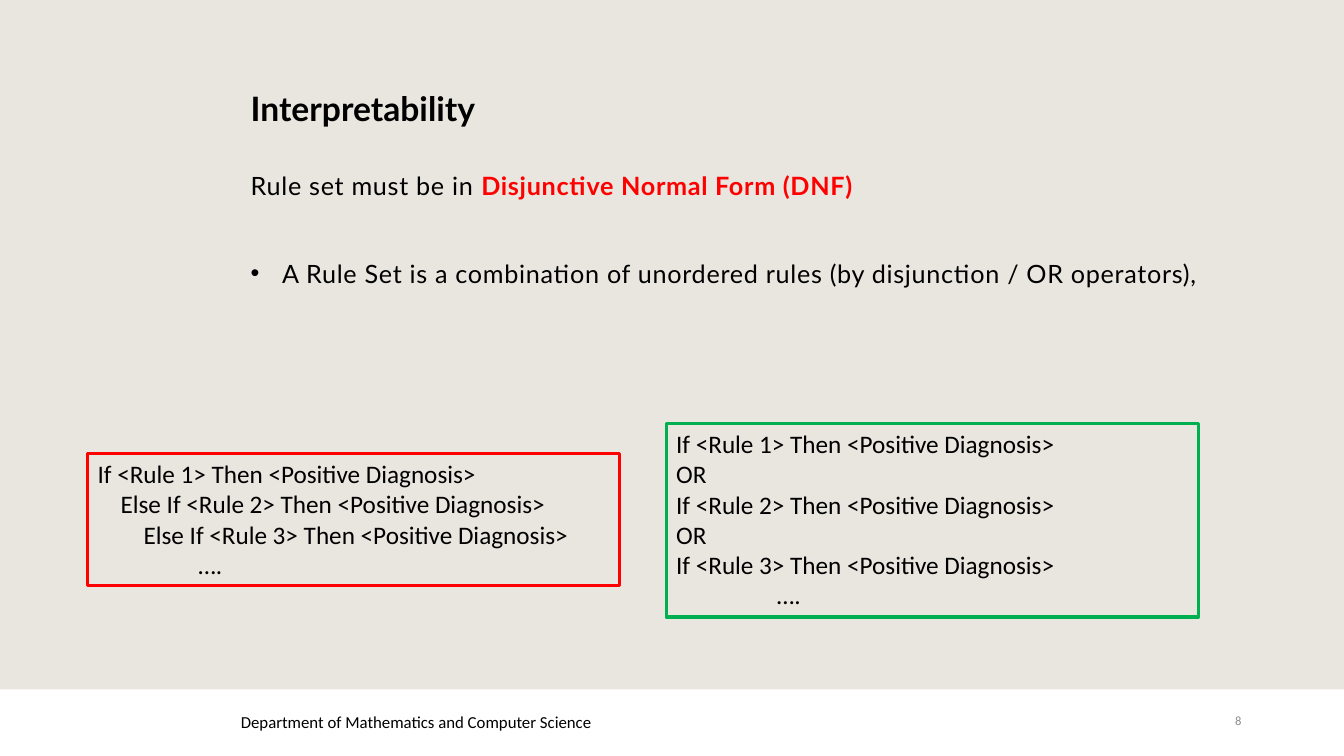
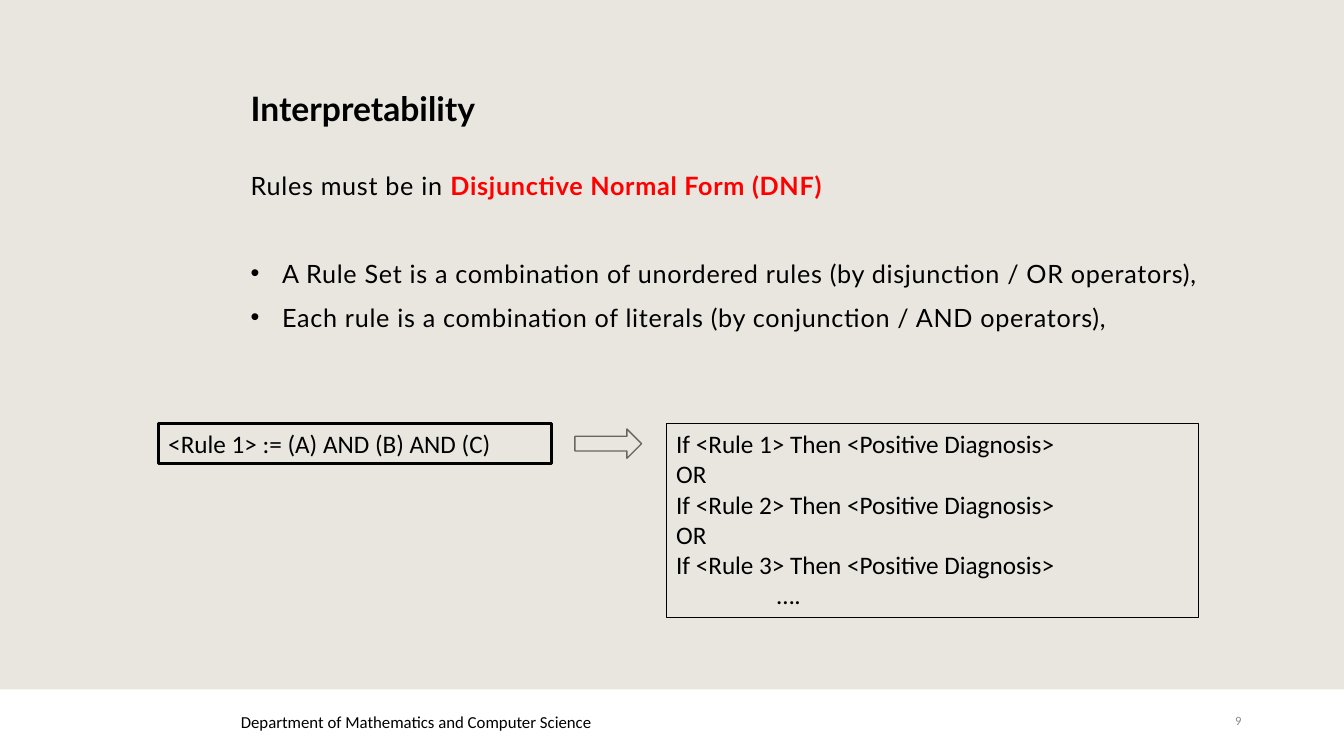
import pptx
import pptx.util
import pptx.dml.color
import pptx.enum.shapes
import pptx.enum.text
import pptx.oxml
import pptx.oxml.ns

Cm = pptx.util.Cm
Pt = pptx.util.Pt
RGBColor = pptx.dml.color.RGBColor

SAND = RGBColor(0xE9, 0xE6, 0xDF)
WHITE = RGBColor(0xFF, 0xFF, 0xFF)
BLACK = RGBColor(0x00, 0x00, 0x00)
RED = RGBColor(0xFF, 0x00, 0x00)
GREEN = RGBColor(0x00, 0xB0, 0x50)
GRAY = RGBColor(0x8C, 0x8C, 0x8C)
ARROW_GRAY = RGBColor(0x66, 0x65, 0x62)

HEADING_FONT = "Lato"
TEXT_FONT = "Calibri"
PAGE_WIDTH = Cm(33.87)
PAGE_HEIGHT = Cm(19.05)
BAND_TOP = Cm(17.37)
CONTENT_LEFT = Cm(6.07)
RULES_TOP = Cm(10.67)
BULLET_INDENT = Cm(0.79)
STEP_INDENT = Cm(0.58)
DOTS_INDENT = Cm(2.54)

DNF = "Disjunctive Normal Form (DNF)"
RULE_SET_POINT = "A Rule Set is a combination of unordered rules (by disjunction / OR operators),"
LITERALS_POINT = "Each rule is a combination of literals (by conjunction / AND operators),"
ORDERED_RULES = [
    ("If <Rule 1> Then <Positive Diagnosis>", 0),
    ("Else If <Rule 2> Then <Positive Diagnosis>", STEP_INDENT),
    ("Else If <Rule 3> Then <Positive Diagnosis>", 2 * STEP_INDENT),
    ("….", DOTS_INDENT),
]
UNORDERED_RULES = [
    ("If <Rule 1> Then <Positive Diagnosis>", 0),
    ("OR", 0),
    ("If <Rule 2> Then <Positive Diagnosis>", 0),
    ("OR", 0),
    ("If <Rule 3> Then <Positive Diagnosis>", 0),
    ("….", DOTS_INDENT),
]


def style_span(span, font, size, color=BLACK, bold=False):
    span.font.name = font
    span.font.size = Pt(size)
    span.font.color.rgb = color
    span.font.bold = bold


def set_indent(para, left, first_line=0):
    properties = para._p.get_or_add_pPr()
    properties.set("marL", str(int(left)))
    properties.set("indent", str(int(first_line)))
    return properties


def add_text(page, left, top, width, height):
    box = page.shapes.add_textbox(left, top, width, height)
    box.text_frame.word_wrap = True
    return box


def add_label(page, text, left, top, width, height, font, size, color=BLACK, bold=False):
    box = add_text(page, left, top, width, height)
    box.text_frame.text = text
    style_span(box.text_frame.paragraphs[0].runs[0], font, size, color, bold)
    return box


def add_footer(page, number):
    band = page.shapes.add_shape(
        pptx.enum.shapes.MSO_SHAPE.RECTANGLE, 0, BAND_TOP, PAGE_WIDTH, PAGE_HEIGHT - BAND_TOP)
    band.shadow.inherit = False
    band.fill.solid()
    band.fill.fore_color.rgb = WHITE
    band.line.fill.background()
    add_label(page, "Department of Mathematics and Computer Science",
              Cm(5.82), Cm(17.81), Cm(15.52), Cm(0.77), TEXT_FONT, 12)
    box = add_label(page, str(number), Cm(28.8), Cm(17.65), Cm(2.74), Cm(1.02),
                    TEXT_FONT, 9, GRAY)
    box.text_frame.vertical_anchor = pptx.enum.text.MSO_ANCHOR.MIDDLE
    box.text_frame.paragraphs[0].alignment = pptx.enum.text.PP_ALIGN.RIGHT


def add_body(page, lead, points):
    box = add_text(page, CONTENT_LEFT, Cm(4.29), Cm(25.5), Cm(5.56))
    frame = box.text_frame
    frame.margin_top = 0
    frame.text = lead
    frame.paragraphs[0].add_run().text = DNF
    for index, point in enumerate(points):
        para = frame.add_paragraph()
        para.text = point
        para.space_before = Pt(10 if index else 41)
        properties = set_indent(para, BULLET_INDENT, -BULLET_INDENT)
        for tag, name, value in (("a:buFont", "typeface", "Arial"), ("a:buChar", "char", "•")):
            bullet = pptx.oxml.ns.qn(tag)
            properties.append(properties.makeelement(bullet, {name: value}))
    for para in frame.paragraphs:
        for span in para.runs:
            emphasis = span.text == DNF
            style_span(span, HEADING_FONT, 18, RED if emphasis else BLACK, emphasis)
            span.font._element.set("spc", "50")


def add_rule_box(page, rules, left, top, width, height, color, weight):
    box = add_text(page, left, top, width, height)
    box.line.color.rgb = color
    box.line.width = Pt(weight)
    frame = box.text_frame
    frame.text = "\n".join(text for text, indent in rules)
    for para, (text, indent) in zip(frame.paragraphs, rules):
        set_indent(para, indent)
        style_span(para.runs[0], TEXT_FONT, 18)


def add_unordered_rules(page, color, weight):
    add_rule_box(page, UNORDERED_RULES, Cm(16.79), RULES_TOP, Cm(13.41), Cm(4.88), color, weight)


def add_arrow(page):
    arrow = page.shapes.add_shape(
        pptx.enum.shapes.MSO_SHAPE.RIGHT_ARROW, Cm(14.49), Cm(10.81), Cm(1.68), Cm(0.74))
    arrow.shadow.inherit = False
    arrow.fill.solid()
    arrow.fill.fore_color.rgb = SAND
    arrow.line.color.rgb = ARROW_GRAY
    arrow.line.width = Pt(1)


def add_page(deck, number, lead, points):
    page = deck.slides.add_slide(deck.slide_layouts[6])
    add_footer(page, number)
    add_label(page, "Interpretability", CONTENT_LEFT, Cm(2.08), Cm(18.82), Cm(1.27),
              HEADING_FONT, 24, bold=True)
    add_body(page, lead, points)
    return page


def main():
    deck = pptx.Presentation()
    deck.slide_width = PAGE_WIDTH
    deck.slide_height = PAGE_HEIGHT
    background = deck.slide_master.background.fill
    background.solid()
    background.fore_color.rgb = SAND

    page = add_page(deck, 8, "Rule set must be in ", [RULE_SET_POINT])
    add_rule_box(page, ORDERED_RULES, Cm(2.21), Cm(11.43), Cm(13.41), Cm(3.33), RED, 2.25)
    add_unordered_rules(page, GREEN, 2.25)

    page = add_page(deck, 9, "Rules must be in ", [RULE_SET_POINT, LITERALS_POINT])
    add_unordered_rules(page, BLACK, 0.5)
    add_rule_box(page, [("<Rule 1> := (A) AND (B) AND (C)", 0)],
                 Cm(3.99), RULES_TOP, Cm(9.91), Cm(1.02), BLACK, 2.25)
    add_arrow(page)

    deck.save("out.pptx")


if __name__ == "__main__":
    main()
